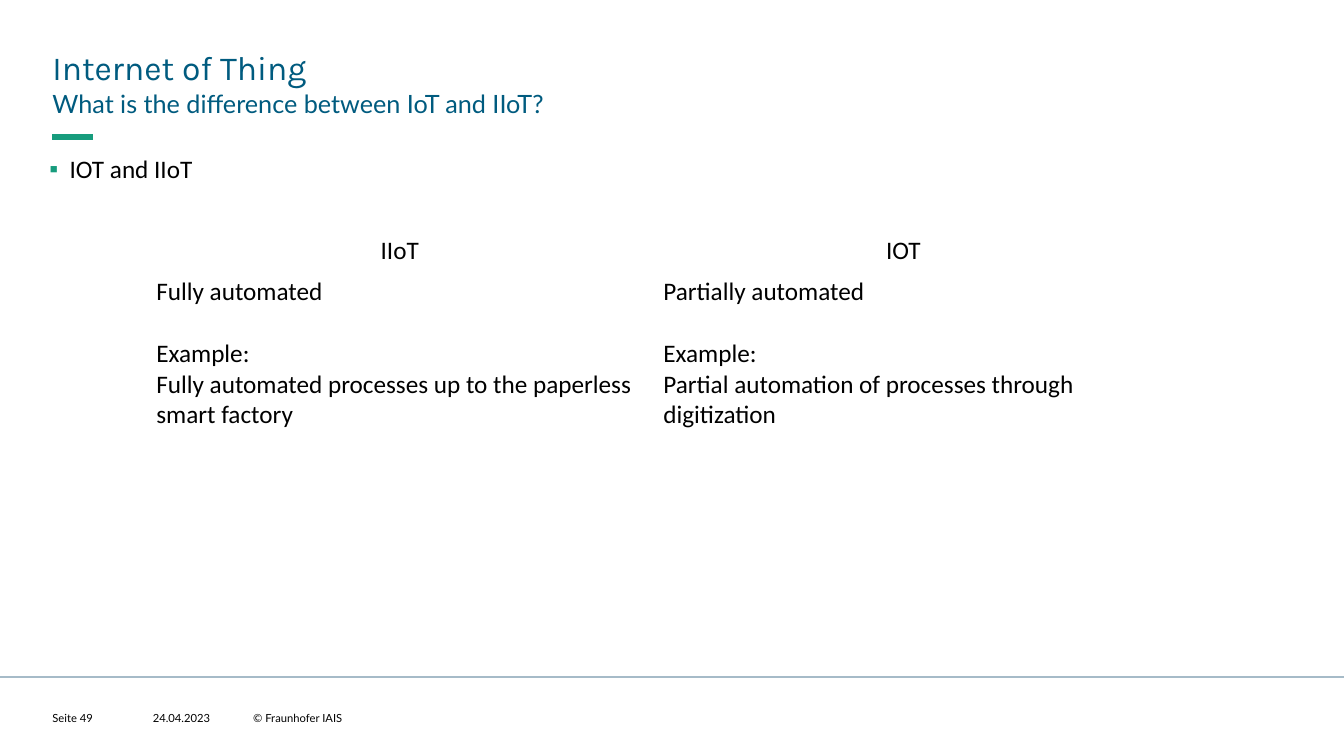
"""Build the slide that compares IoT and IIoT."""
from lxml.etree import SubElement
from pptx import Presentation
from pptx.dml.color import RGBColor
from pptx.enum.shapes import MSO_CONNECTOR as Connector
from pptx.enum.text import MSO_ANCHOR as Anchor, MSO_AUTO_SIZE as AutoSize, PP_ALIGN as Align
from pptx.oxml.ns import qn
from pptx.util import Inches, Pt

COLORS = {"title": "005B7F", "accent": "179C7D", "rule": "A6BBC8", "text": "000000"}
LEFT, WIDTH = 3.9, 92.12
FOOTER_STEP = 7.47
TABLE = [
    ("IIoT", ["Fully automated", "Example:",
              "Fully automated processes up to the paperless smart factory"]),
    ("IOT", ["Partially automated", "Example:",
             "Partial automation of processes through digitization"]),
]


def write(paragraph, text, font="Calibri", size=18, color="text", align=Align.LEFT,
          spacing=1.0, before=0, after=0, bullet=None):
    paragraph.alignment = align
    paragraph.line_spacing = spacing
    paragraph.space_before, paragraph.space_after = Pt(before), Pt(after)
    properties = paragraph._p.get_or_add_pPr()
    indent = Inches(0.2) if bullet else 0
    properties.set("marL", str(indent))
    properties.set("indent", str(-indent))
    if bullet:
        bullet_color = SubElement(properties, qn("a:buClr"))
        SubElement(bullet_color, qn("a:srgbClr"), val=COLORS["accent"])
        SubElement(properties, qn("a:buChar"), char=bullet)
    else:
        SubElement(properties, qn("a:buNone"))
    run = paragraph.add_run()
    run.text = text
    run.font.name, run.font.size, run.font.bold = font, Pt(size), False
    run.font.color.rgb = RGBColor.from_string(COLORS[color])


class Deck:
    """Hold the style and the current slide; lengths are percent of the slide's size."""

    def __init__(self):
        self.presentation = Presentation()
        self.presentation.slide_width = Inches(13.33)
        self.presentation.slide_height = Inches(7.5)
        self.slide = self.presentation.slides.add_slide(self.presentation.slide_layouts[3])

    def x(self, columns):
        return round(self.presentation.slide_width * columns / 100)

    def y(self, rows):
        return round(self.presentation.slide_height * rows / 100)

    def box(self, left, top, width, height):
        return self.x(left), self.y(top), self.x(width), self.y(height)

    def line(self, left, right, top, color, weight):
        line = self.slide.shapes.add_connector(
            Connector.STRAIGHT, self.x(left), self.y(top), self.x(right), self.y(top))
        line.line.color.rgb = RGBColor.from_string(COLORS[color])
        line.line.width = Pt(weight)
        SubElement(line._element.spPr, qn("a:effectLst"))

    def fill_frame(self, shape, text, anchor, inset, **style):
        frame = shape.text_frame
        frame.word_wrap, frame.auto_size = True, AutoSize.NONE
        frame.vertical_anchor = anchor
        frame.margin_left = frame.margin_right = Inches(inset)
        frame.margin_top = frame.margin_bottom = Inches(inset / 2)
        write(frame.paragraphs[0], text, **style)

    def placeholder(self, index, box, text, inset=0, **style):
        shape = self.slide.placeholders[index]
        shape.left, shape.top, shape.width, shape.height = self.box(*box)
        self.fill_frame(shape, text, Anchor.TOP, inset, **style)

    def label(self, box, text, **style):
        shape = self.slide.shapes.add_textbox(*self.box(*box))
        self.fill_frame(shape, text, Anchor.MIDDLE, 0, **style)

    def table(self, left, top, widths, heights, columns):
        box = self.box(left, top, sum(widths), sum(heights))
        table = self.slide.shapes.add_table(len(heights), len(widths), *box).table
        table.first_row = table.horz_banding = False
        for row, height in zip(table.rows, heights):
            row.height = self.y(height)
        for index, (heading, lines) in enumerate(columns):
            table.columns[index].width = self.x(widths[index])
            head, body = table.cell(0, index), table.cell(1, index)
            head.fill.background()
            body.fill.background()
            write(head.text_frame.paragraphs[0], heading, align=Align.CENTER)
            for number, text in enumerate(lines):
                frame = body.text_frame
                paragraph = frame.add_paragraph() if number else frame.paragraphs[0]
                write(paragraph, text, before=22 if number == 1 else 0)


def main():
    deck = Deck()
    deck.line(LEFT, 6.9, 18.13, "accent", 4)
    deck.line(0, 100, 89.6, "rule", 1.5)
    deck.placeholder(0, (LEFT, 5.73, WIDTH, 5.6), "Internet of Thing",
                     font="Karla", size=24, color="title", spacing=1.1)
    deck.placeholder(1, (LEFT, 11.33, WIDTH, 4.13),
                     "What is the difference between IoT and IIoT?",
                     font="Lato", color="title", spacing=1.1, after=12)
    deck.placeholder(2, (2.93, 20, WIDTH, 50), "IOT and IIoT",
                     inset=0.1, spacing=Pt(19.6), bullet="▪")
    footer = [("Seite 49", 5.93), ("24.04.2023", 5.93), ("© Fraunhofer IAIS", 24.23)]
    for index, (text, width) in enumerate(footer):
        deck.label((LEFT + index * FOOTER_STEP, 94.13, width, 1.73), text, font="Lato", size=8)
    deck.table(10.88, 30.53, (37.73, 37.21), (4.93, 21.73), TABLE)
    deck.presentation.save("out.pptx")


if __name__ == "__main__":
    main()
